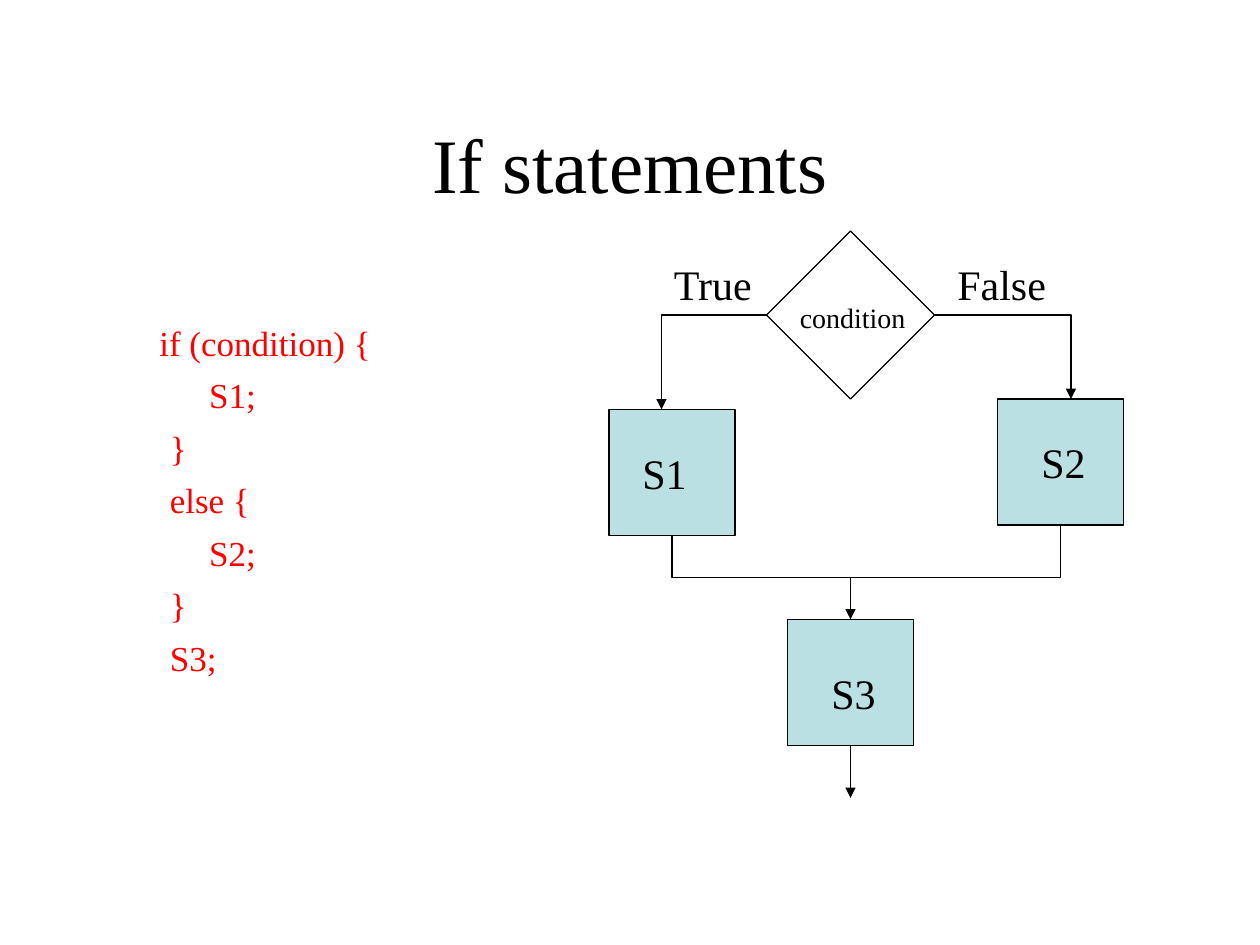
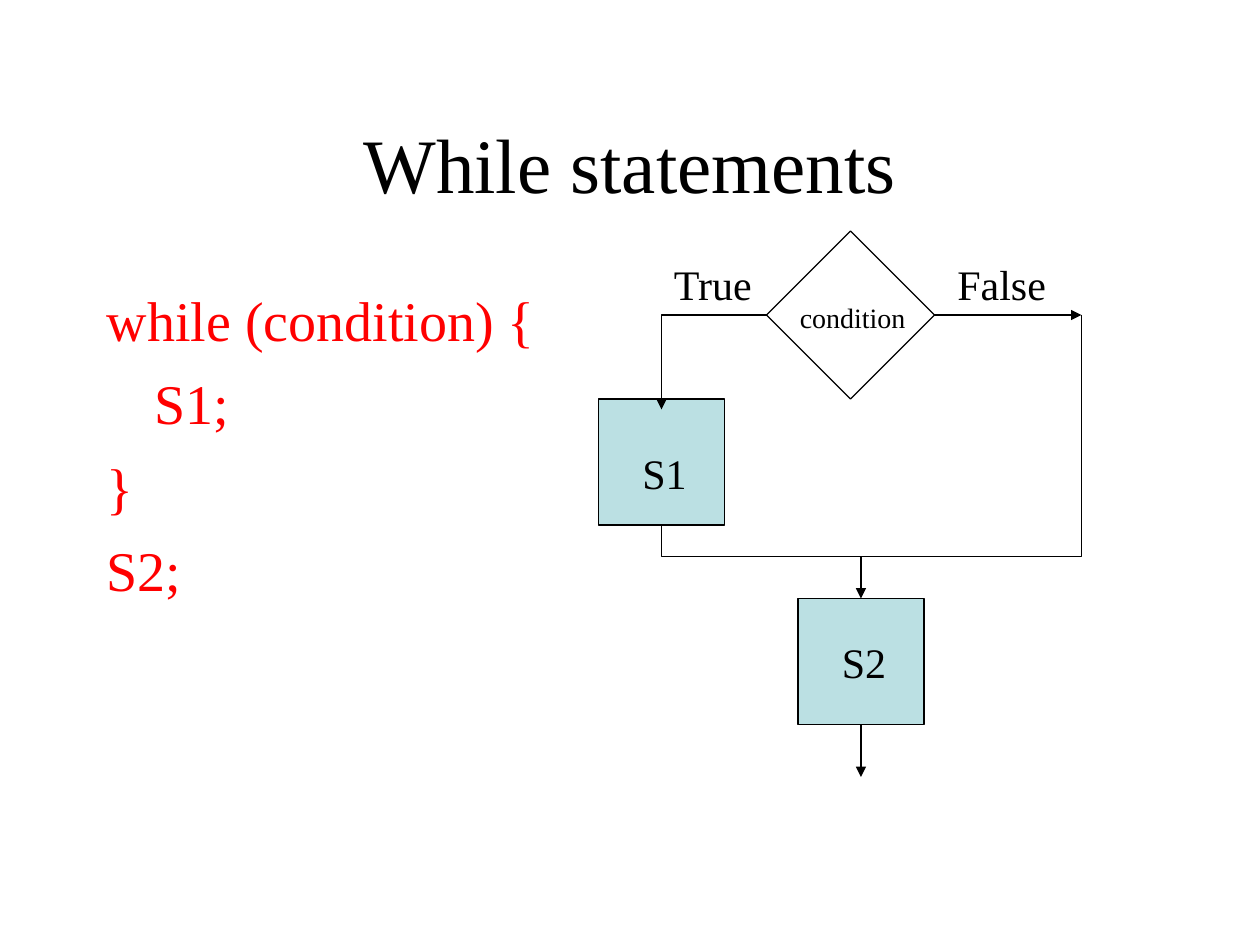
from dataclasses import dataclass

from lxml import etree
from pptx import Presentation
from pptx.dml.color import RGBColor
from pptx.enum.shapes import MSO_CONNECTOR, MSO_SHAPE
from pptx.enum.text import MSO_ANCHOR, MSO_AUTO_SIZE, PP_ALIGN
from pptx.oxml.ns import qn
from pptx.util import Pt

STRAIGHT = MSO_CONNECTOR.STRAIGHT
RECTANGLE = MSO_SHAPE.RECTANGLE
DIAMOND = MSO_SHAPE.DIAMOND
MIDDLE = MSO_ANCHOR.MIDDLE
CENTER = PP_ALIGN.CENTER
NO_AUTOFIT = MSO_AUTO_SIZE.NONE
TOP, BOTTOM, RIGHT = 0, 2, 3


@dataclass(frozen=True)
class Theme:
    font: str = "Times New Roman"
    ink: RGBColor = RGBColor(0, 0, 0)
    code: RGBColor = RGBColor(0xFF, 0, 0)
    box: RGBColor = RGBColor(0xBB, 0xE0, 0xE3)
    title_size: int = 44
    label_size: int = 24
    condition_size: int = 16
    line_width: float = 0.75


theme = Theme()
BOX_SIDE = 72
EXIT_LENGTH = 30

# Code lines are (indent, text); boxes are (name, box place, label place)
slides = [
    {
        "title": "If statements",
        "code_top": 180, "code_size": 20, "code_gap": 6,
        "code": [(30, "if (condition) {"), (58.5, "S1;"), (36, "}"), (36, "else {"),
                 (58.5, "S2;"), (36, "}"), (36, "S3;")],
        "boxes": [("S1", (348, 234), (360, 252)),
                  ("S2", (570, 228), (588, 246)),
                  ("S3", (450, 354), (468, 378))],
        "merge_y": 330,
        "paths": [([(384, 306), (384, 330), (606, 330), (606, 300)], False),
                  ([(534, 180), (612, 180), (612, 228)], True)],
        "false_end": None,
    },
    {
        "title": "While statements",
        "code_top": 159.5, "code_size": 32, "code_gap": 9.3,
        "code": [(0, "while (condition) {"), (27, "S1;"), (0, "}"), (0, "S2;")],
        "boxes": [("S1", (342, 228), (360, 252)),
                  ("S2", (456, 342), (474, 360))],
        "merge_y": 318,
        "paths": [([(618, 180), (618, 318), (378, 318), (378, 300)], False)],
        "false_end": (618, 180),
    },
]
true_path = ([(438, 180), (378, 180), (378, 234)], True)
labels = [("True", 378, 144, 60, 36, theme.label_size),
          ("False", 540, 144, 65, 36, theme.label_size),
          ("condition", 450, 168, 75, 26.5, theme.condition_size)]


def add_text(slide, lines, left, top, width, height, size, color, gap=0):
    text_box = slide.shapes.add_textbox(Pt(left), Pt(top), Pt(width), Pt(height))
    frame = text_box.text_frame
    frame.word_wrap = len(lines) > 1
    for index, (indent, text) in enumerate(lines):
        paragraph = frame.add_paragraph() if index else frame.paragraphs[0]
        paragraph.space_before = Pt(gap if index else 0)
        paragraph._p.get_or_add_pPr().set("marL", str(Pt(indent)))
        run = paragraph.add_run()
        run.text = text
        run.font.name = theme.font
        run.font.size = Pt(size)
        run.font.color.rgb = color


def style_line(shape, arrow):
    shape.line.color.rgb = theme.ink
    shape.line.width = Pt(theme.line_width)
    if arrow:
        etree.SubElement(shape.line._get_or_add_ln(), qn("a:tailEnd"), type="triangle")
    properties = shape._element.spPr
    if properties.find(qn("a:effectLst")) is None:
        etree.SubElement(properties, qn("a:effectLst"))


presentation = Presentation()
presentation.slide_width = Pt(720)
presentation.slide_height = Pt(540)

for content in slides:
    slide = presentation.slides.add_slide(presentation.slide_layouts[5])

    # Title
    title = slide.shapes.title
    title.left, title.top, title.width, title.height = Pt(54), Pt(48), Pt(612), Pt(90)
    title.text_frame.vertical_anchor = MIDDLE
    title.text_frame.auto_size = NO_AUTOFIT
    paragraph = title.text_frame.paragraphs[0]
    paragraph.alignment = CENTER
    run = paragraph.add_run()
    run.text = content["title"]
    run.font.name = theme.font
    run.font.size = Pt(theme.title_size)
    run.font.color.rgb = theme.ink

    # Code
    add_text(slide, content["code"], 54, content["code_top"], 280, 220,
             content["code_size"], theme.code, content["code_gap"])

    # Condition diamond
    diamond = slide.shapes.add_shape(DIAMOND, Pt(438), Pt(132), Pt(96), Pt(96))
    diamond.fill.background()
    style_line(diamond, False)

    # Statement boxes; the last one follows the merge
    for name, (left, top), (label_left, label_top) in content["boxes"]:
        box = slide.shapes.add_shape(RECTANGLE, Pt(left), Pt(top), Pt(BOX_SIDE), Pt(BOX_SIDE))
        box.fill.solid()
        box.fill.fore_color.rgb = theme.box
        style_line(box, False)
        add_text(slide, [(0, name)], label_left, label_top, 40, 36, theme.label_size, theme.ink)

    # Bent branches
    for points, arrow in [true_path, *content["paths"]]:
        builder = slide.shapes.build_freeform(Pt(points[0][0]), Pt(points[0][1]))
        builder.add_line_segments([(Pt(x), Pt(y)) for x, y in points[1:]], close=False)
        branch = builder.convert_to_shape()
        branch.fill.background()
        style_line(branch, arrow)

    # Straight arrows into and out of the last box, and out of the diamond
    center = left + BOX_SIDE / 2
    bottom = top + BOX_SIDE
    entry = slide.shapes.add_connector(STRAIGHT, Pt(center), Pt(content["merge_y"]),
                                       Pt(center), Pt(top))
    entry.end_connect(box, TOP)
    style_line(entry, True)
    leaving = slide.shapes.add_connector(STRAIGHT, Pt(center), Pt(bottom),
                                         Pt(center), Pt(bottom + EXIT_LENGTH))
    leaving.begin_connect(box, BOTTOM)
    style_line(leaving, True)
    if content["false_end"]:
        end_x, end_y = content["false_end"]
        false_arrow = slide.shapes.add_connector(STRAIGHT, Pt(534), Pt(180), Pt(end_x), Pt(end_y))
        false_arrow.begin_connect(diamond, RIGHT)
        style_line(false_arrow, True)

    # Condition and branch labels
    for text, label_left, label_top, width, height, size in labels:
        add_text(slide, [(0, text)], label_left, label_top, width, height, size, theme.ink)

presentation.save("out.pptx")
